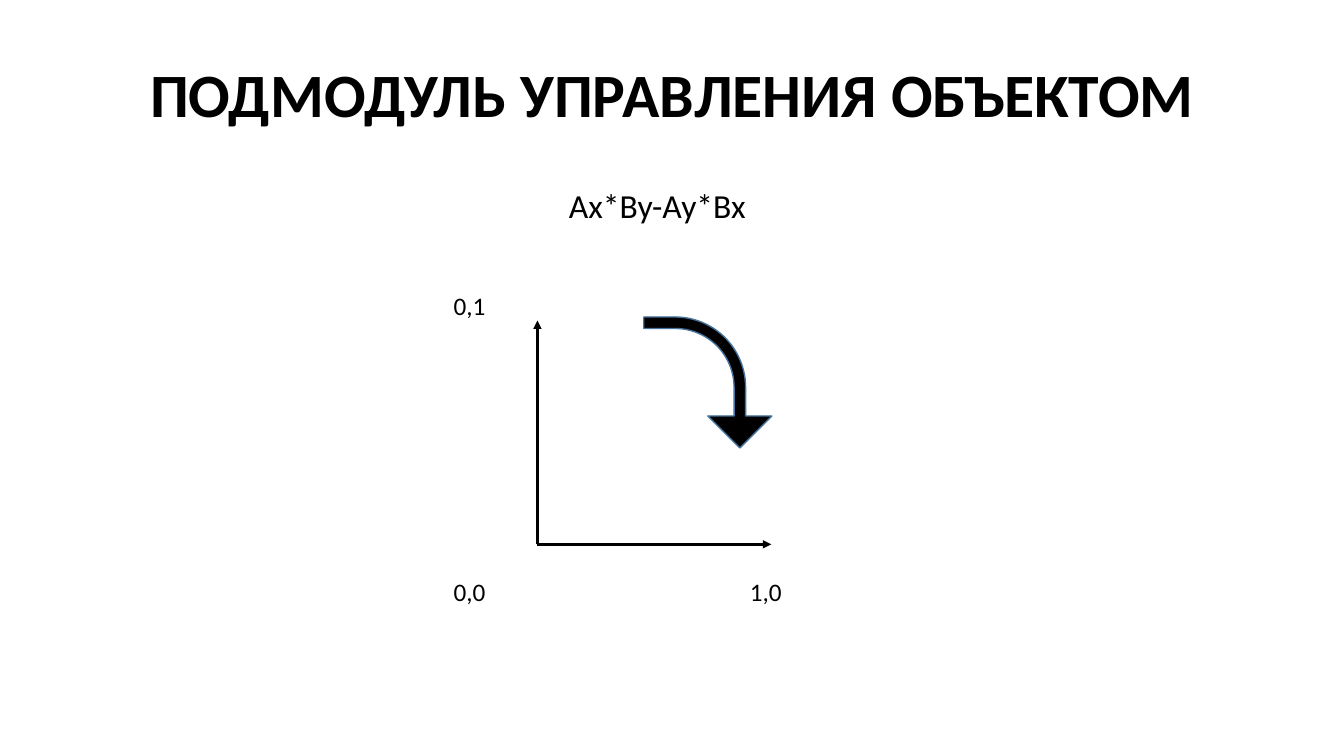
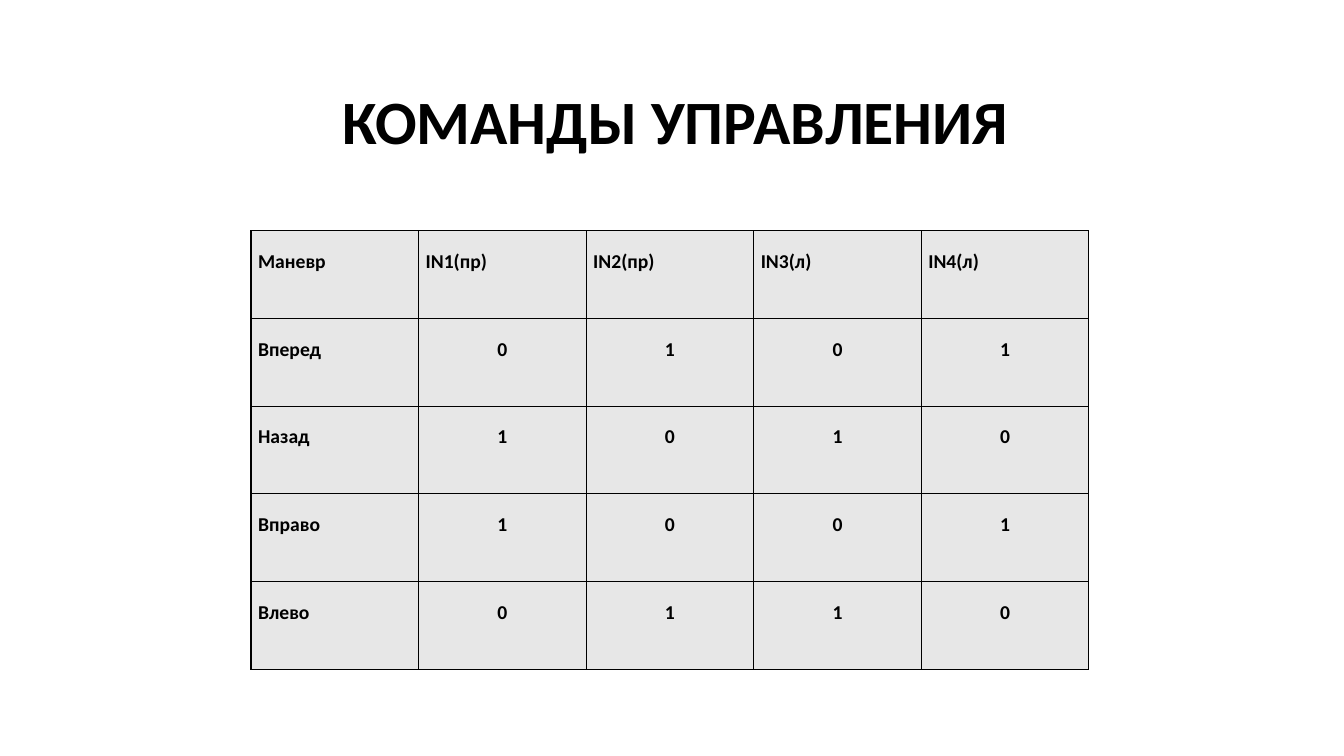
from dataclasses import dataclass
from typing import NamedTuple

from lxml.etree import SubElement
from pptx import Presentation
from pptx.dml.color import RGBColor
from pptx.enum.shapes import MSO_CONNECTOR, MSO_SHAPE
from pptx.enum.text import MSO_ANCHOR, MSO_AUTO_SIZE, PP_ALIGN
from pptx.oxml.ns import qn
from pptx.util import Emu, Pt

PX = 9144  # EMU per px, 100 px to the inch
TITLE_ONLY = 5


@dataclass(frozen=True)
class Theme:
    font: str = "Calibri"
    ink: str = "000000"
    arrow_edge: str = "43739E"
    cell_fill: str = "E7E7E7"
    title_size: int = 44
    formula_size: int = 24
    label_size: int = 18
    cell_size: int = 14


class Box(NamedTuple):
    left: int
    top: int
    width: int
    height: int

    def emu(self):
        return [px(length) for length in self]


THEME = Theme()

COMMANDS = [
    ["Маневр", "IN1(пр)", "IN2(пр)", "IN3(л)", "IN4(л)"],
    ["Вперед", "0", "1", "0", "1"],
    ["Назад", "1", "0", "1", "0"],
    ["Вправо", "1", "0", "0", "1"],
    ["Влево", "0", "1", "1", "0"],
]


def px(length):
    return Emu(length * PX)


def rgb(colour):
    return RGBColor.from_string(colour)


# Text shared by both slides
def write(frame, text, size, bold=False, align=PP_ALIGN.LEFT, spacing=1.0):
    paragraph = frame.paragraphs[0]
    paragraph.alignment = align
    paragraph.line_spacing = spacing
    run = paragraph.add_run()
    run.text = text
    font = run.font
    font.name, font.size, font.bold = THEME.font, Pt(size), bold
    font.color.rgb = rgb(THEME.ink)


def titled_slide(deck, text, box):
    slide = deck.slides.add_slide(deck.slide_layouts[TITLE_ONLY])
    title = slide.shapes.title
    title.left, title.top, title.width, title.height = box.emu()
    frame = title.text_frame
    frame.auto_size = MSO_AUTO_SIZE.NONE
    frame.vertical_anchor = MSO_ANCHOR.MIDDLE
    write(frame, text, THEME.title_size, True, PP_ALIGN.CENTER, 0.9)
    return slide


def add_label(slide, text, box, size, align=PP_ALIGN.LEFT):
    frame = slide.shapes.add_textbox(*box.emu()).text_frame
    frame.word_wrap = True
    frame.auto_size = MSO_AUTO_SIZE.SHAPE_TO_FIT_TEXT
    write(frame, text, size, align=align)


# Coordinate axes with the clockwise turn between them
def add_axis(slide, origin, tip):
    axis = slide.shapes.add_connector(
        MSO_CONNECTOR.STRAIGHT, *map(px, origin + tip))
    axis.line.width = Pt(2)
    axis.line.color.rgb = rgb(THEME.ink)
    SubElement(axis.line._get_or_add_ln(), qn("a:tailEnd"), type="triangle")
    SubElement(axis._element.spPr, qn("a:effectLst"))


def add_turn_arrow(slide, box):
    turn = slide.shapes.add_shape(MSO_SHAPE.BENT_ARROW, *box.emu())
    turn.rotation = 90
    for index, value in enumerate((0.09, 0.25, 0.25, 0.55)):
        turn.adjustments[index] = value
    turn.shadow.inherit = False
    turn.fill.solid()
    turn.fill.fore_color.rgb = rgb(THEME.ink)
    turn.line.color.rgb = rgb(THEME.arrow_edge)
    turn.line.width = Pt(1)


def draw_axes(slide, box):
    left, top, width, height = box
    bottom = top + height
    origin = (left, bottom)
    for tip in ((left, top), (left + width, bottom)):
        add_axis(slide, origin, tip)
    add_turn_arrow(slide, Box(left + 104, top - 2, 130, 127))
    label_left, label_top = left - 93, bottom + 27
    for text, x, y in (
        ("0,0", label_left, label_top),
        ("1,0", label_left + 294, label_top),
        ("0,1", label_left, top - 35),
    ):
        add_label(slide, text, Box(x, y, 93, 40), THEME.label_size)


# Command table
def add_borders(cell):
    properties = cell._tc.get_or_add_tcPr()
    for index, side in enumerate(("lnL", "lnR", "lnT", "lnB")):
        border = SubElement(properties, qn(f"a:{side}"), w=str(Pt(1)))
        fill = SubElement(border, qn("a:solidFill"))
        SubElement(fill, qn("a:srgbClr"), val=THEME.ink)
        properties.insert(index, border)  # borders come before the cell fill


def fill_cell(cell, text, align):
    cell.margin_left = cell.margin_right = px(7)
    cell.margin_top = cell.margin_bottom = px(7)
    cell.vertical_anchor = MSO_ANCHOR.TOP
    cell.fill.solid()
    cell.fill.fore_color.rgb = rgb(THEME.cell_fill)
    write(cell.text_frame, text, THEME.cell_size, True, align, 1.5)
    add_borders(cell)


def draw_commands(slide, box, commands):
    table = slide.shapes.add_table(
        len(commands), len(commands[0]), *box.emu()).table
    for row, values in enumerate(commands):
        for column, value in enumerate(values):
            is_signal = row > 0 and column > 0
            align = PP_ALIGN.CENTER if is_signal else PP_ALIGN.JUSTIFY
            fill_cell(table.cell(row, column), value, align)


def main():
    deck = Presentation()
    deck.slide_width, deck.slide_height = px(1333), px(750)

    control = titled_slide(
        deck, "ПОДМОДУЛЬ УПРАВЛЕНИЯ ОБЪЕКТОМ", Box(92, 52, 1150, 90))
    draw_axes(control, Box(533, 318, 232, 222))
    add_label(control, "Ax*By-Ay*Bx", Box(448, 179, 408, 50),
              THEME.formula_size, PP_ALIGN.CENTER)

    commands = titled_slide(
        deck, "КОМАНДЫ УПРАВЛЕНИЯ", Box(95, 79, 1150, 90))
    draw_commands(commands, Box(249, 229, 831, 435), COMMANDS)

    deck.save("out.pptx")


if __name__ == "__main__":
    main()
